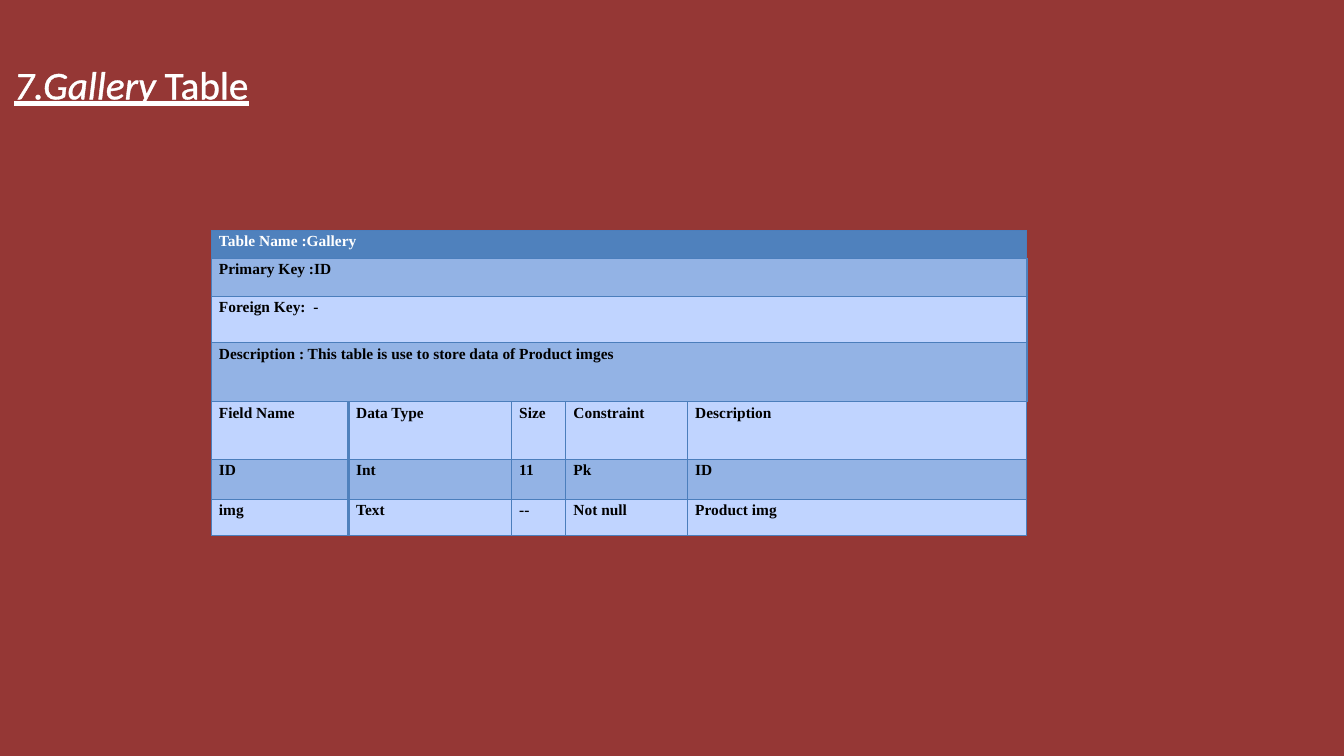
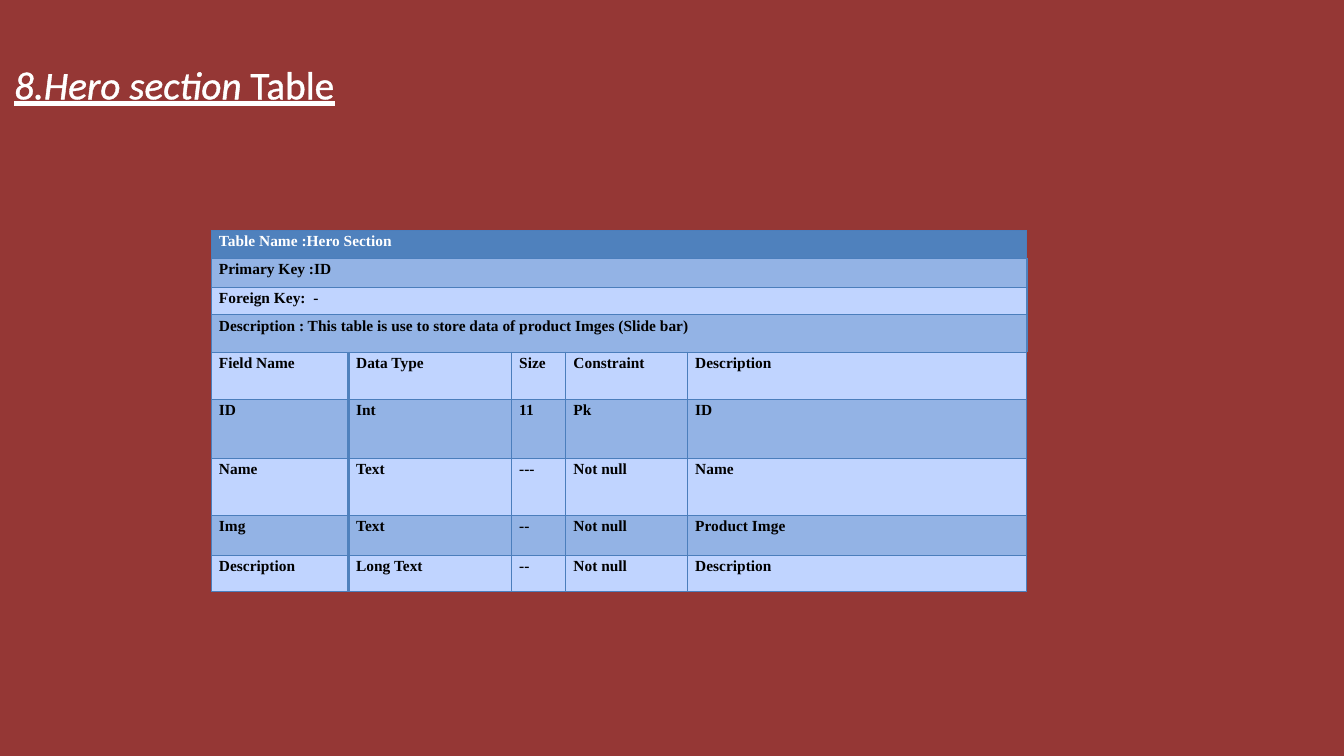
from lxml.etree import SubElement
from pptx import Presentation
from pptx.dml.color import RGBColor
from pptx.oxml import parse_xml
from pptx.oxml.ns import nsdecls, qn
from pptx.util import Pt

HUES = {"back": "953735", "head": "4F81BD", "dark": "93B3E5", "light": "C0D4FF",
        "edge": "4B7EBC", "white": "FFFFFF", "black": "000000"}
WIDTHS = [98, 116.5, 38.75, 87, 242.25]
FIELDS = ["Field Name", "Data Type", "Size", "Constraint", "Description"]
SLIDES = [
    {"title": ("7.Gallery ", "Table"),
     "rows": [
         (20, ["Table Name :Gallery"]),
         (27, ["Primary Key :ID"]),
         (33.5, ["Foreign Key:  -"]),
         (42, ["Description : This table is use to store data of Product imges"]),
         (41, FIELDS),
         (28.5, ["ID", "Int", "11", "Pk", "ID"]),
         (26, ["img", "Text", "--", "Not null", "Product img"])]},
    {"title": ("8.Hero section ", "Table"),
     "rows": [
         (20, ["Table Name :Hero Section"]),
         (20.5, ["Primary Key :ID"]),
         (20, ["Foreign Key:  -"]),
         (26.5, ["Description : This table is use to store data of product Imges (Slide bar)"]),
         (33.75, FIELDS),
         (42, ["ID", "Int", "11", "Pk", "ID"]),
         (41, ["Name", "Text", "---", "Not null", "Name"]),
         (28.5, ["Img", "Text", "--", "Not null", "Product Imge"]),
         (26, ["Description", "Long Text", "--", "Not null", "Description"])]},
]
TITLE = {"name": "Calibri", "size": Pt(28), "underline": True}
BODY = {"name": "Times New Roman", "size": Pt(11), "bold": True}
INSET = {"margin_left": Pt(5.4), "margin_right": Pt(5.4), "margin_top": 0, "margin_bottom": 0}


def apply(item, looks):
    for key, value in looks.items():
        setattr(item, key, value)


def paint(fill, hue):
    fill.solid()
    fill.fore_color.rgb = RGBColor.from_string(HUES[hue])


def style(run, looks, hue):
    apply(run.font, looks)
    paint(run.font.fill, hue)


def add_title(slide, parts):
    frame = slide.shapes.add_textbox(Pt(3), Pt(30), Pt(250), Pt(46)).text_frame
    frame.word_wrap = True
    para = frame.paragraphs[0]
    para.line_spacing = 1.28
    for text, slant in zip(parts, (True, False)):
        run = para.add_run()
        run.text = text
        style(run, {**TITLE, "italic": slant}, "white")
        line = parse_xml(f'<a:ln {nsdecls("a")} w="18415"><a:solidFill>'
                         f'<a:srgbClr val="{HUES["white"]}"/></a:solidFill></a:ln>')
        run.font._element.insert(0, line)


def add_edges(cell, thick):
    props = cell._tc.get_or_add_tcPr()
    for spot, side in enumerate(("lnL", "lnR", "lnT", "lnB")):
        wide = thick and side == "lnR"
        line = props.makeelement(qn(f"a:{side}"), {"w": str(Pt(2 if wide else 0.75))})
        fill = SubElement(line, qn("a:solidFill"))
        SubElement(fill, qn("a:srgbClr"), val=HUES["head" if wide else "edge"])
        props.insert(spot, line)


def add_grid(slide, rows):
    high = sum(size for size, _ in rows)
    table = slide.shapes.add_table(len(rows), len(WIDTHS), Pt(151), Pt(164.5),
                                   Pt(sum(WIDTHS)), Pt(high)).table
    for column, width in zip(table.columns, WIDTHS):
        column.width = Pt(width)
    for y, (size, texts) in enumerate(rows):
        table.rows[y].height = Pt(size)
        if len(texts) == 1:
            table.cell(y, 0).merge(table.cell(y, len(WIDTHS) - 1))
        hue = "head" if y == 0 else "dark" if y % 2 else "light"
        for x, text in enumerate(texts):
            cell = table.cell(y, x)
            apply(cell, INSET)
            paint(cell.fill, hue)
            add_edges(cell, y > 0 and x == 0)
            para = cell.text_frame.paragraphs[0]
            apply(para, {"line_spacing": 1.15, "space_after": Pt(10)})
            run = para.add_run()
            run.text = text
            style(run, BODY, "black" if y else "white")


def main():
    deck = Presentation()
    apply(deck, {"slide_width": Pt(960), "slide_height": Pt(540)})
    paint(deck.slide_master.background.fill, "back")
    for page in SLIDES:
        slide = deck.slides.add_slide(deck.slide_layouts[6])
        add_title(slide, page["title"])
        add_grid(slide, page["rows"])
    deck.save("out.pptx")


if __name__ == "__main__":
    main()
